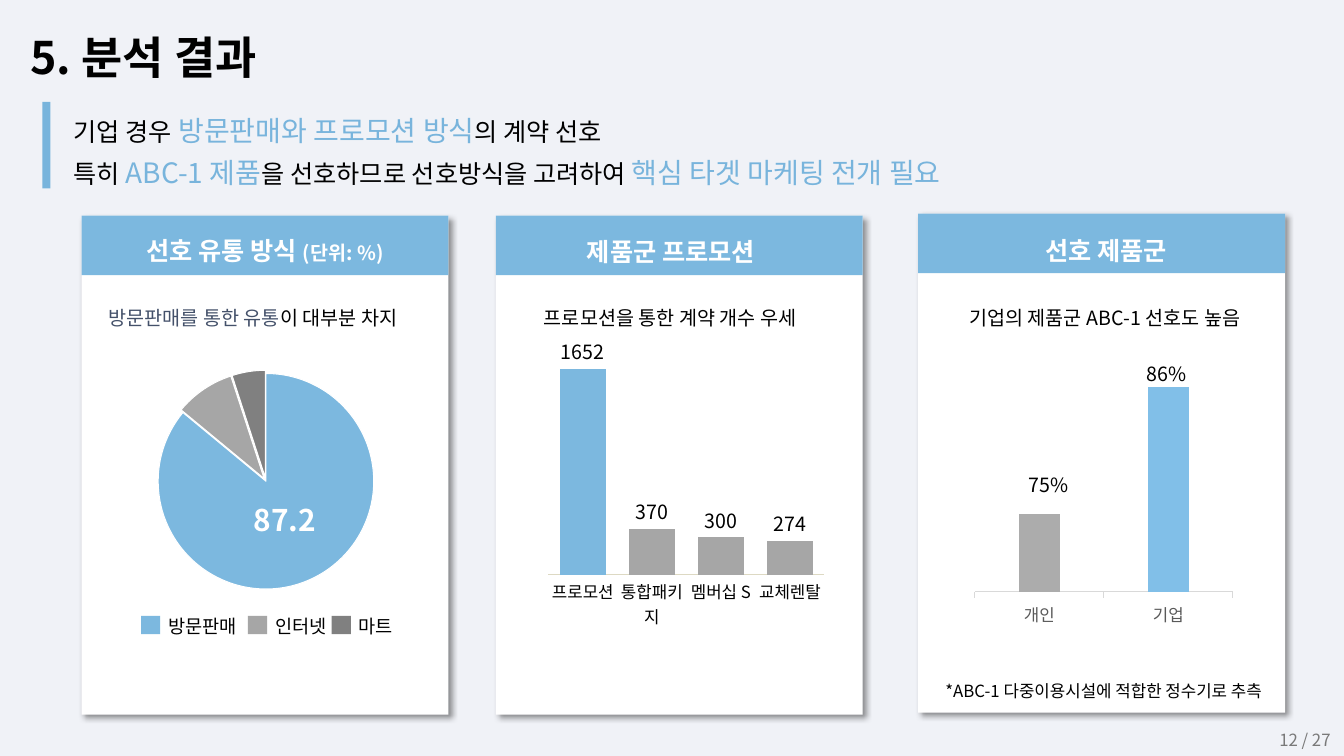
from dataclasses import dataclass
from lxml import etree
from pptx import Presentation
from pptx.chart import data as cd
from pptx.dml.color import RGBColor
from pptx.enum import chart as ce, shapes, text
from pptx.oxml import parse_xml
from pptx.oxml.ns import qn, nsdecls
from pptx.util import Pt


@dataclass
class Theme:
    page: str = "F0F2F7"
    white: str = "FFFFFF"
    ink: str = "000000"
    blue: str = "7CB8DF"
    key: str = "78B4DC"
    navy: str = "44516A"
    gray: str = "A6A6A6"
    dark: str = "808080"
    mute: str = "797979"
    soft: str = "ACACAC"
    sky: str = "81BFE8"
    base: str = "DDD9C3"
    rule: str = "D9D9D9"
    tick: str = "595959"
    font: str = "Noto Sans CJK KR"
    alt: str = "Calibri"
    title: float = 32
    big: float = 20
    head: float = 18
    sub: float = 14
    small: float = 12
    item: float = 13.3
    share: float = 21.3


T = Theme()

# Content: runs are (text, size, colour)
TITLE = [("5. 분석 결과", T.title, T.ink)]
LEAD = [
    [("기업 경우", T.head, T.ink), (" ", T.big, T.ink),
     ("방문판매와 프로모션 방식", T.big, T.key), ("의 계약 선호", T.head, T.ink)],
    [("특히 ", T.head, T.ink), ("ABC-1 제품", T.big, T.key),
     ("을 선호하므로 선호방식을 고려하여 ", T.head, T.ink),
     ("핵심 타겟 마케팅 전개 필요", T.big, T.key)],
]
# Cards: left, top, heading box, heading, note left, note
CARDS = [
    (58.3, 154.1, (70.6, 157, 237.6, 34.6),
     [("선호 유통 방식 ", T.head, T.white), ("(단위: %)", T.sub, T.white)],
     43.2, [("방문판매를 통한 유통", T.sub, T.navy), ("이 대부분 차지", T.sub, T.ink)]),
    (354.2, 154.1, (340.6, 157.7, 277.2, 34.6),
     [("제품군 프로모션", T.head, T.white)],
     341.3, [("프로모션을 통한 계약 개수 우세", T.sub, T.ink)]),
    (655.9, 152.6, (651.6, 157, 277.2, 34.6),
     [("선호 제품군", T.head, T.white)],
     651.6, [("기업의 제품군 ABC-1 선호도 높음", T.sub, T.ink)]),
]
ROUTES = [("방문판매", 86, T.blue, 100.8), ("인터넷", 9, T.gray, 177.1),
          ("마트", 5, T.dark, 236.9)]
DEALS = [("프로모션", 1652, T.blue), ("통합패키지", 370, T.gray),
         ("멤버십 S", 300, T.gray), ("교체렌탈", 274, T.gray)]
BUYERS = [("개인", 87, T.soft), ("기업", 100, T.sky)]
RATES = [("75%", 723.6, 334), ("86%", 807.8, 254.9)]
FOOT = [("*ABC-1 다중이용시설에 적합한 정수기로 추측", T.small, T.ink)]

deck = Presentation()
deck.slide_width, deck.slide_height = Pt(960), Pt(540)
slide = deck.slides.add_slide(deck.slide_layouts[1])
slide.background.fill.solid()
slide.background.fill.fore_color.rgb = RGBColor.from_string(T.page)


def paint(part, tone):
    part.fill.solid()
    part.fill.fore_color.rgb = RGBColor.from_string(tone)


def place(shape, x, y, w, h):
    shape.left, shape.top, shape.width, shape.height = map(Pt, (x, y, w, h))


def write(frame, lines, align, gap=None, bold=False, pad=True):
    """Fill a frame with lines of runs."""
    frame.word_wrap = True
    frame.auto_size = text.MSO_AUTO_SIZE.NONE
    frame.vertical_anchor = text.MSO_ANCHOR.TOP
    if not pad:
        frame.margin_left = frame.margin_right = 0
        frame.margin_top = frame.margin_bottom = 0
    for i, line in enumerate(lines):
        para = frame.add_paragraph() if i else frame.paragraphs[0]
        para.alignment = align
        para.space_before = Pt(0)
        if gap:
            para.line_spacing = gap
        for words, size, tone in line:
            run = para.add_run()
            run.text = words
            font = run.font
            font.size, font.bold, font.name = Pt(size), bold, T.font
            font.color.rgb = RGBColor.from_string(tone)
            east = etree.SubElement(run._r.get_or_add_rPr(), qn("a:ea"))
            east.set("typeface", T.font)


LEFT, MID, RIGHT = text.PP_ALIGN.LEFT, text.PP_ALIGN.CENTER, text.PP_ALIGN.RIGHT


def label(box, line, align=MID, **style):
    shape = slide.shapes.add_textbox(*map(Pt, box))
    write(shape.text_frame, [line], align, **style)
    return shape


def block(box, tone):
    shape = slide.shapes.add_shape(shapes.MSO_SHAPE.RECTANGLE, *map(Pt, box))
    shape.shadow.inherit = False
    paint(shape, tone)
    shape.line.fill.background()
    return shape


def graph(kind, box, plot, rows, face, size):
    """Add a one-series chart with its plot area at a fixed place."""
    data = cd.CategoryChartData()
    data.categories = [row[0] for row in rows]
    data.add_series("Series 1", [row[1] for row in rows])
    chart = slide.shapes.add_chart(kind, *map(Pt, box), data).chart
    chart.has_title = chart.has_legend = False
    chart.font.name, chart.font.size = face, Pt(size)
    chart.font.color.rgb = RGBColor.from_string(T.ink)
    area = chart.element.find(".//" + qn("c:plotArea"))
    for old in area.findall(qn("c:layout")):
        area.remove(old)
    x, y, w, h = box
    parts = zip("xywh", ((plot[0] - x) / w, (plot[1] - y) / h, plot[2] / w, plot[3] / h))
    vals = "".join(f'<c:{n} val="{v:.4f}"/>' for n, v in parts)
    area.insert(0, parse_xml(
        f'<c:layout {nsdecls("c")}><c:manualLayout><c:layoutTarget val="inner"/>'
        f'<c:xMode val="edge"/><c:yMode val="edge"/>{vals}</c:manualLayout></c:layout>'))
    chart.plots[0].vary_by_categories = kind == ce.XL_CHART_TYPE.PIE
    for i, row in enumerate(rows):
        paint(chart.plots[0].series[0].points[i].format, row[2])
    return chart


def bars(box, plot, rows, face, low, top, gap, edge, width, tone, tick):
    chart = graph(ce.XL_CHART_TYPE.COLUMN_CLUSTERED, box, plot, rows, face, T.small)
    chart.plots[0].gap_width = gap
    val, cat = chart.value_axis, chart.category_axis
    val.minimum_scale, val.maximum_scale = low, top
    val.has_major_gridlines = val.visible = False
    cat.major_tick_mark = tick
    cat.format.line.color.rgb = RGBColor.from_string(edge)
    cat.format.line.width = Pt(width)
    font = cat.tick_labels.font
    font.size, font.name = Pt(T.small), face
    font.color.rgb = RGBColor.from_string(tone)
    body = chart.element.find(".//" + qn("c:catAx")).find(".//" + qn("a:bodyPr"))
    body.set("rot", "0")
    return chart


# Title, lead and accent bar
title, lead = slide.shapes.title, slide.placeholders[1]
place(title, 14.4, 7.9, 388, 52.6)
write(title.text_frame, [TITLE], LEFT, gap=1.25, bold=True)
place(lead, 52.6, 74.9, 895, 58.3)
write(lead.text_frame, LEAD, LEFT, gap=1.25, pad=False)
for para in lead.text_frame.paragraphs:
    prop = para._p.get_or_add_pPr()
    prop.set("marL", "0")
    prop.set("indent", "0")
    etree.SubElement(prop, qn("a:buNone"))
block((30.2, 72.7, 5.8, 61.9), T.key)

# Cards
for x, y, box, head, left, note in CARDS:
    card = block((x, y, 262.1, 356.4), T.white)
    glow = card._element.spPr.find(qn("a:effectLst"))
    glow.append(parse_xml(
        f'<a:outerShdw {nsdecls("a")} blurRad="{Pt(4)}" dist="{Pt(3)}" dir="2700000" '
        'algn="tl" rotWithShape="0"><a:srgbClr val="000000"><a:alpha val="40000"/>'
        '</a:srgbClr></a:outerShdw>'))
    block((x, y, 262.1, 42.5), T.blue)
    label(box, head, gap=Pt(28.8), bold=True)
    label((left, 207.4, 275, 25.2), note, gap=Pt(27.6), pad=False)

# Pie of sales routes with its key
pie = graph(ce.XL_CHART_TYPE.PIE, (75.6, 257, 229, 173.5),
            (113, 266.8, 154, 154), ROUTES, T.alt, 10)
for i, point in enumerate(pie.plots[0].series[0].points):
    point.format.line.color.rgb = RGBColor.from_string(T.white)
    point.format.line.width = Pt(0.75)
    if i:
        point.format.fill._xPr.getparent().insert(
            1, parse_xml(f'<c:explosion {nsdecls("c")} val="3"/>'))
label((157, 355, 92.9, 33.1), [("87.2", T.share, T.white)], bold=True)
for name, share, tone, x in ROUTES:
    block((x, 440, 13.7, 13), tone)
    label((x + 12.3, 435.6, 65.5, 23.8), [(name, T.item, T.ink)], LEFT)

# Contracts by promotion
deals = bars((382, 235, 220, 215), (391.7, 263.3, 197.3, 147.3), DEALS, T.font,
             0, 1652, 49, T.base, 1, T.ink, ce.XL_TICK_MARK.NONE)
plot = deals.plots[0]
plot.has_data_labels = True
tags = plot.data_labels
tags.show_value = True
tags.position = ce.XL_LABEL_POSITION.OUTSIDE_END
tags.font.size, tags.font.name = Pt(T.sub), T.font
tags.font.color.rgb = RGBColor.from_string(T.ink)

# Preferred products
bars((691.9, 256.3, 192.2, 195.8), (696.4, 276.5, 184.3, 146.4), BUYERS, T.alt,
     79, 100, 219, T.rule, 0.75, T.tick, ce.XL_TICK_MARK.OUTSIDE)
for rate, x, y in RATES:
    label((x, y, 51.1, 24.5), [(rate, T.sub, T.ink)])
label((650.9, 473, 275, 25.2), FOOT, gap=Pt(27.6), pad=False)

# Page number
page = label((741.6, 510.5, 216, 35.3), [("12 / 27", T.small, T.mute)], RIGHT)
page.text_frame.vertical_anchor = text.MSO_ANCHOR.MIDDLE

deck.save("out.pptx")
